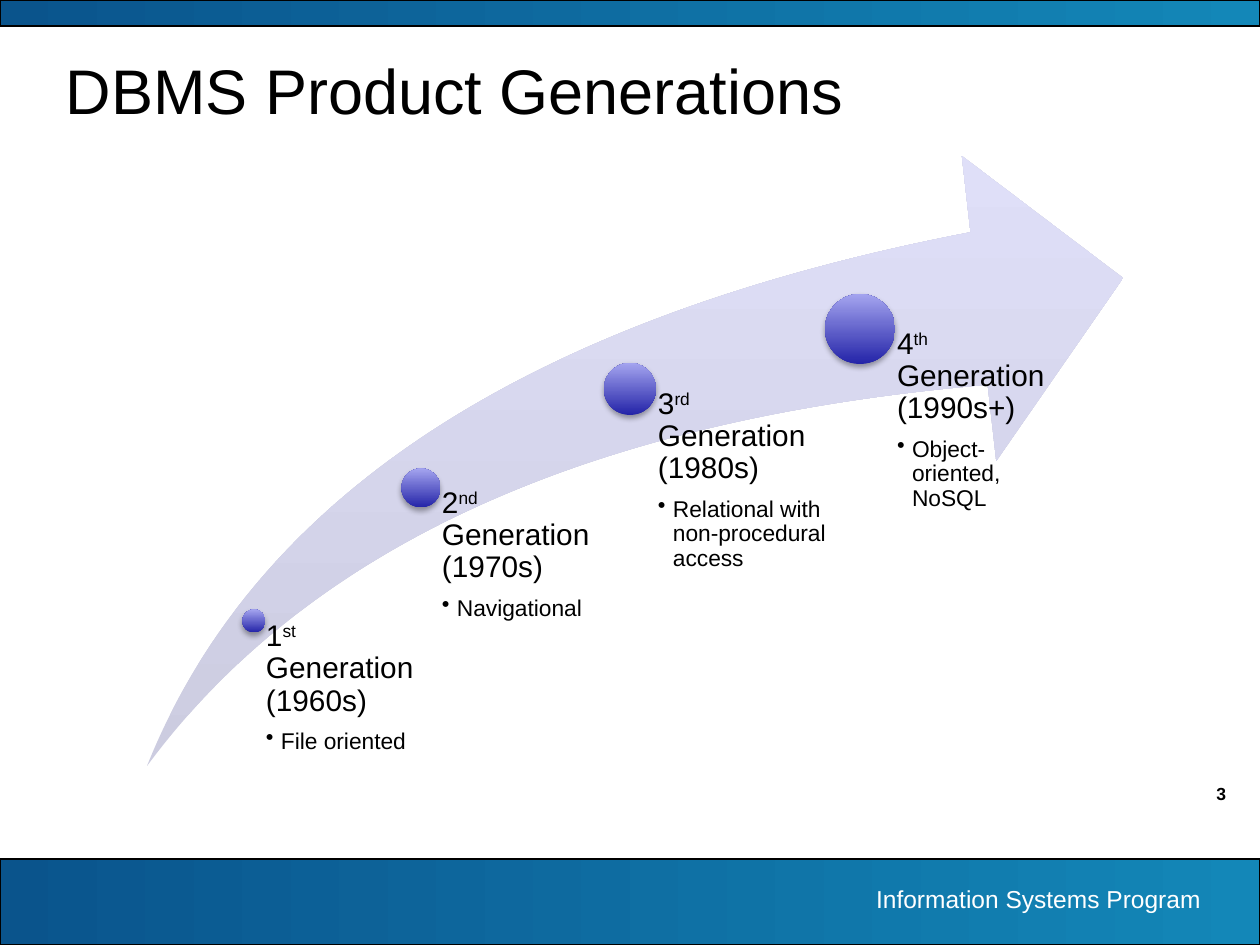
import pptx
import pptx.dml.color
import pptx.enum.shapes
import pptx.enum.text
import pptx.oxml
import pptx.oxml.ns
import pptx.util
from lxml import etree

SCALE = 914400 / 126
SHAPE = pptx.enum.shapes.MSO_SHAPE
ALIGN = pptx.enum.text.PP_ALIGN
ANCHOR = pptx.enum.text.MSO_ANCHOR
GENERATIONS = [
    ("1", "st", "1960s", "File oriented", 107, 465, 23, 168),
    ("2", "nd", "1970s", "Navigational", 274, 332, 39, 205),
    ("3", "rd", "1980s", "Relational with non-procedural access", 483, 233, 52, 205),
    ("4", "th", "1990s+", "Object-oriented, NoSQL", 713, 173, 70, 205),
]


def px(n):
    """Convert pixels to EMU."""
    return pptx.util.Emu(round(n * SCALE))


def rgb(color):
    """Turn a hex string into a colour."""
    return pptx.dml.color.RGBColor.from_string(color)


def add_gradient_shape(s, kind, box, colors, angle, line=None):
    """Add a preset shape with a two-colour gradient."""
    sp = s.shapes.add_shape(kind, *map(px, box))
    sp.shadow.inherit = False
    sp.fill.gradient()
    sp.fill.gradient_angle = angle
    for stop, color, position in zip(sp.fill.gradient_stops, colors, (0, 1)):
        stop.color.rgb = rgb(color)
        stop.position = position
    if line:
        sp.line.color.rgb = rgb(line)
        sp.line.width = pptx.util.Pt(0.75)
    else:
        sp.line.fill.background()
    return sp


def add_text_frame(s, box, margins=(13, 6, 13, 6), anchor=ANCHOR.MIDDLE):
    """Add a wrapping text box and return its frame."""
    tf = s.shapes.add_textbox(*map(px, box)).text_frame
    tf.word_wrap = True
    tf.vertical_anchor = anchor
    tf.margin_left, tf.margin_top, tf.margin_right, tf.margin_bottom = map(px, margins)
    return tf


def add_run(p, text, size, color="000000", bold=False, baseline=0, align=ALIGN.LEFT):
    """Add formatted text to a paragraph."""
    p.alignment = align
    r = p.add_run()
    r.text = text
    r.font.name = "Arial"
    r.font.size = pptx.util.Pt(size)
    r.font.bold = bold
    r.font.color.rgb = rgb(color)
    if baseline:
        r._r.get_or_add_rPr().set("baseline", str(baseline * 1000))


def add_bullet(p, indent):
    """Give a paragraph a hanging bullet."""
    pPr = p._p.get_or_add_pPr()
    pPr.set("marL", str(px(indent)))
    pPr.set("indent", str(-px(indent)))
    etree.SubElement(pPr, pptx.oxml.ns.qn("a:buChar")).set("char", "•")


def add_ball(s, x, y, size):
    """Add a shaded ball with a soft shadow, centred on a point."""
    box = (x - size / 2, y - size / 2, size, size)
    sp = add_gradient_shape(s, SHAPE.OVAL, box, ("2424A8", "A4A4EF"), 90)
    effects = sp._element.spPr.find(pptx.oxml.ns.qn("a:effectLst"))
    effects.append(pptx.oxml.parse_xml(
        f'<a:outerShdw {pptx.oxml.ns.nsdecls("a")} blurRad="40000" dist="23000" '
        'dir="5400000" rotWithShape="0"><a:srgbClr val="000000">'
        '<a:alpha val="35000"/></a:srgbClr></a:outerShdw>'))


def add_generation(s, x, y, bottom, size, width, number, suffix, years, detail):
    """Add one generation: its ball and the label hanging from the ball's centre."""
    add_ball(s, x, y, size)
    margins = (round(size * 0.53), 0, 0, 0)
    tf = add_text_frame(s, (x, y, width, bottom - y), margins, ANCHOR.TOP)
    p = tf.paragraphs[0]
    add_run(p, number, 17)
    add_run(p, suffix, 17, baseline=30)
    add_run(p, f" Generation ({years})", 17)
    p.line_spacing = 0.9
    p.space_after = pptx.util.Pt(7)
    p = tf.add_paragraph()
    add_run(p, detail, 13)
    p.line_spacing = 0.9
    add_bullet(p, 15)


def add_timeline(s, left, top, width, height):
    """Add the rising arrow and the generations along it."""
    sp = add_gradient_shape(s, SHAPE.SWOOSH_ARROW, (left, top, width, height),
                            ("CCCCE0", "DFDFF8"), 90)
    sp.adjustments[0] = sp.adjustments[1] = 0.25
    for number, suffix, years, detail, x, y, size, label_width in GENERATIONS:
        add_generation(s, left + x, top + y, top + height, size, label_width,
                       number, suffix, years, detail)


def add_band(s, left, top, width, height, text=None):
    """Add a blue band, with a right-aligned caption if given."""
    add_gradient_shape(s, SHAPE.RECTANGLE, (left, top, width, height),
                       ("0A548C", "1387B8"), 0, "000000")
    if text:
        tf = add_text_frame(s, (left + 699, top + 18, 515, 43))
        add_run(tf.paragraphs[0], text, 14, "FFFFFF", align=ALIGN.RIGHT)


def main():
    """Build the slide."""
    prs = pptx.Presentation()
    prs.slide_width, prs.slide_height = px(1260), px(945)
    s = prs.slides.add_slide(prs.slide_layouts[6])
    add_band(s, 0, 0, 1260, 26)
    add_band(s, 0, 859, 1260, 86, "Information Systems Program")
    title = add_text_frame(s, (53, 42, 1155, 94))
    add_run(title.paragraphs[0], "DBMS Product Generations", 36)
    number = add_text_frame(s, (1134, 777, 105, 34))
    add_run(number.paragraphs[0], "3", 10, bold=True, align=ALIGN.RIGHT)
    add_timeline(s, 147, 156, 976, 610)
    prs.save("out.pptx")


if __name__ == "__main__":
    main()
